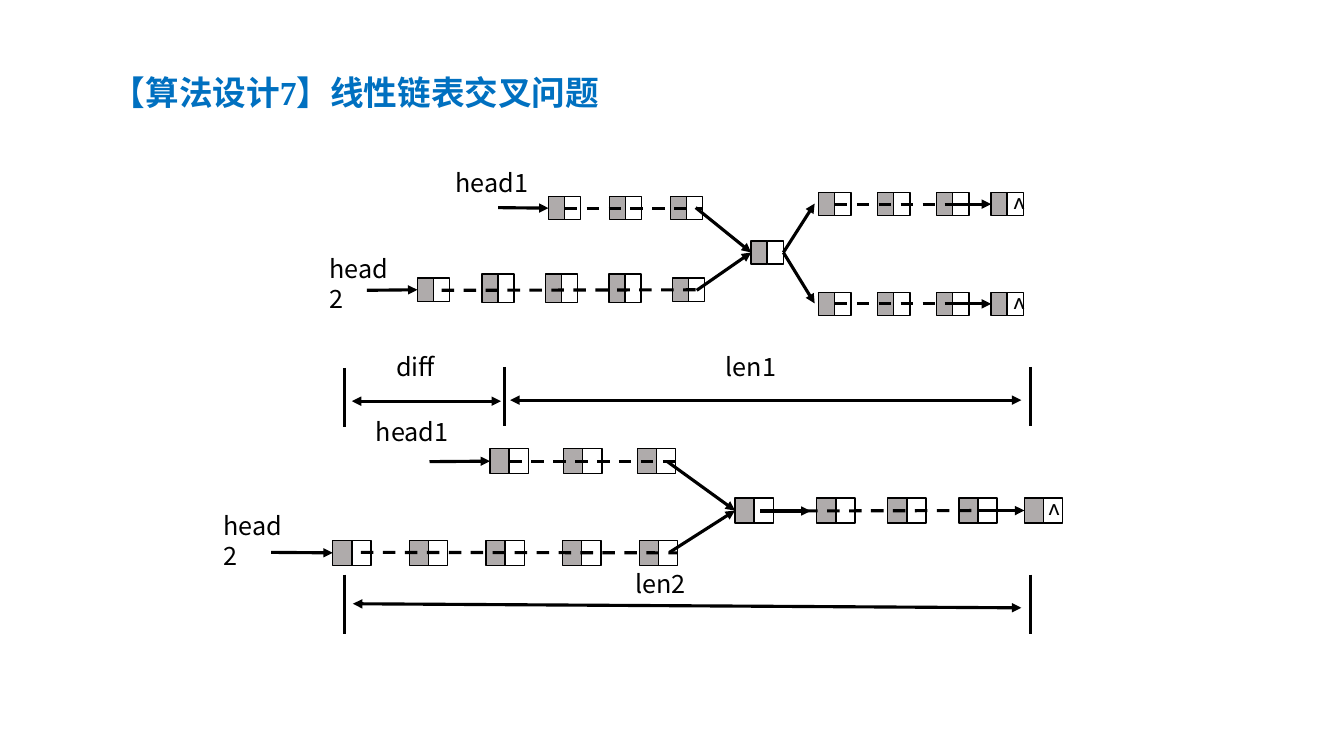
from pptx import Presentation
from pptx.dml.color import RGBColor
from pptx.enum.dml import MSO_LINE
from pptx.enum.shapes import MSO_CONNECTOR, MSO_SHAPE
from pptx.enum.text import MSO_ANCHOR, PP_ALIGN
from pptx.oxml.ns import qn
from pptx.util import Inches, Pt
from lxml import etree

BLACK = RGBColor(0x00, 0x00, 0x00)
GREY = RGBColor(0xAF, 0xAB, 0xAB)
BLUE = RGBColor(0x00, 0x70, 0xC0)
SANS = "Noto Sans CJK SC"
SERIF = "Times New Roman"
RECT = MSO_SHAPE.RECTANGLE
STRAIGHT = MSO_CONNECTOR.STRAIGHT
DASH = MSO_LINE.DASH
LEFT = PP_ALIGN.LEFT
TOP = MSO_ANCHOR.TOP
WEST, EAST = 1, 3


class Board:
    def __init__(self, slide):
        self.slide = slide
        self.shapes = slide.shapes
        self.label = {"name": SANS, "size": Pt(18), "bold": False}
        self.head = {"name": SERIF, "size": Pt(24), "bold": True}

    def fill_text(self, frame, text, style, color):
        frame.word_wrap = True
        frame.vertical_anchor = TOP
        para = frame.paragraphs[0]
        para.alignment = LEFT
        run = para.add_run()
        run.text = text
        for key, value in style.items():
            setattr(run.font, key, value)
        run.font.color.rgb = color
        east = etree.SubElement(run.font._element, qn("a:ea"))
        east.set("typeface", SANS)

    def title(self, text, *box):
        shape = self.shapes.title
        sides = ("left", "top", "width", "height")
        for side, size in zip(sides, box):
            setattr(shape, side, Inches(size))
        self.fill_text(shape.text_frame, text, self.head, BLUE)

    def text(self, text, x, y, w):
        box = self.shapes.add_textbox(*map(Inches, (x, y, w, 0.4)))
        self.fill_text(box.text_frame, text, self.label, BLACK)

    def cell(self, x, y, w, h):
        shape = self.shapes.add_shape(RECT, *map(Inches, (x, y, w, h)))
        shape.shadow.inherit = False
        shape.fill.background()
        shape.line.color.rgb = BLACK
        shape.line.width = Pt(1)
        return shape

    def node(self, x, y, w, h):
        """Draw a grey data cell and an empty link cell; return both."""
        data = self.cell(x, y, w, h)
        data.fill.solid()
        data.fill.fore_color.rgb = GREY
        return data, self.cell(x + w, y, w, h)

    def row(self, x, y, step, count, w, h):
        return [self.node(x + i * step, y, w, h) for i in range(count)]

    def line(self, start, end, dash=False, head=False, tail=False):
        """Join two ends, each a point (x, y) or a pair (shape, side)."""
        joined = [not isinstance(e[0], (int, float)) for e in (start, end)]
        points = [(0, 0) if j else e for j, e in zip(joined, (start, end))]
        spots = [Inches(v) for point in points for v in point]
        link = self.shapes.add_connector(STRAIGHT, *spots)
        if joined[0]:
            link.begin_connect(*start)
        if joined[1]:
            link.end_connect(*end)
        link.line.color.rgb = BLACK
        link.line.width = Pt(2.25)
        if dash:
            link.line.dash_style = DASH
        props = link.line._get_or_add_ln()
        for name, shown in (("a:headEnd", head), ("a:tailEnd", tail)):
            if shown:
                etree.SubElement(props, qn(name)).set("type", "triangle")
        etree.SubElement(link._element.spPr, qn("a:effectLst"))

    def arrow(self, start, end):
        self.line(start, end, tail=True)

    def span(self, start, end):
        self.line(start, end, head=True, tail=True)


def cross(board):
    """Two lists that meet in one node and part again."""
    w, h = 0.16, 0.23
    upper = board.row(5.44, 1.95, 0.605, 3, w, h)
    lower = board.row(4.14, 2.76, 2.53, 2, w, h)
    board.row(4.78, 2.72, 0.63, 3, w, 0.28)
    meet = board.node(7.45, 2.39, w, h)
    board.line((upper[0][1], WEST), (upper[-1][1], EAST), dash=True)
    board.line((4.38, 2.88), (lower[-1][1], EAST), dash=True)
    board.arrow((4.94, 2.06), (upper[0][0], WEST))
    board.arrow((3.64, 2.88), (lower[0][0], WEST))
    for start in ((6.9, 2.06), (6.91, 2.88)):
        board.arrow(start, (meet[0], WEST))
    for y in (1.91, 2.9):
        tail = board.row(8.12, y, 0.585, 3, w, h)
        last = board.node(9.83, y, w, h)
        board.line((tail[0][1], WEST), (tail[-1][1], WEST), dash=True)
        board.arrow((meet[1], EAST), (8.08, y + 0.11))
        board.arrow((tail[-1][1], WEST), (last[0], WEST))
        board.text("^", 9.94, y - 0.05, 0.37)
    board.text("head1", 4.42, 1.61, 0.94)
    board.text("head2", 3.17, 2.46, 0.88)


def merge(board):
    """Two lists that meet and share one tail."""
    w, h = 0.19, 0.25
    upper = board.row(4.86, 4.45, 0.73, 3, w, h)
    lower = board.row(3.3, 5.36, 0.76, 5, w, h)
    meet = board.node(7.29, 4.94, w, h)
    tail = board.row(8.1, 4.94, 0.705, 3, w, h)
    last = board.node(10.16, 4.94, w, h)
    board.line((upper[0][1], WEST), (upper[-1][1], EAST), dash=True)
    board.line((3.58, 5.48), (lower[-1][1], EAST), dash=True)
    board.line((7.55, 5.07), (tail[-1][1], WEST), dash=True)
    board.arrow((4.26, 4.58), (upper[0][0], WEST))
    board.arrow((2.69, 5.48), (lower[0][0], WEST))
    for start in ((6.62, 4.58), (6.64, 5.48)):
        board.arrow(start, (meet[0], WEST))
    board.arrow((7.54, 5.07), (8.04, 5.07))
    board.arrow((tail[-1][1], WEST), (last[0], WEST))
    board.text("head1", 3.63, 4.08, 0.94)
    board.text("head2", 2.12, 5.01, 0.88)
    board.text("^", 10.29, 4.89, 0.37)


def measure(board):
    """Length marks above and below the merged lists."""
    for x, y in ((3.42, 3.65), (5, 3.64), (10.22, 3.64), (3.42, 5.7), (10.22, 5.7)):
        board.line((x, y), (x, y + 0.59))
    board.span((3.49, 3.98), (4.97, 3.98))
    board.span((5.06, 3.97), (10.13, 3.97))
    board.span((3.5, 5.99), (10.13, 6.03))
    for text, x, y in (("diff", 3.83, 3.44), ("len1", 7.1, 3.44), ("len2", 6.2, 5.59)):
        board.text(text, x, y, 1.03)


def main():
    deck = Presentation()
    deck.slide_width = Inches(13.33)
    deck.slide_height = Inches(7.5)
    board = Board(deck.slides.add_slide(deck.slide_layouts[5]))
    board.title("【算法设计7】线性链表交叉问题", 1.01, 0.66, 5.82, 0.5)
    cross(board)
    merge(board)
    measure(board)
    deck.save("out.pptx")


if __name__ == "__main__":
    main()
